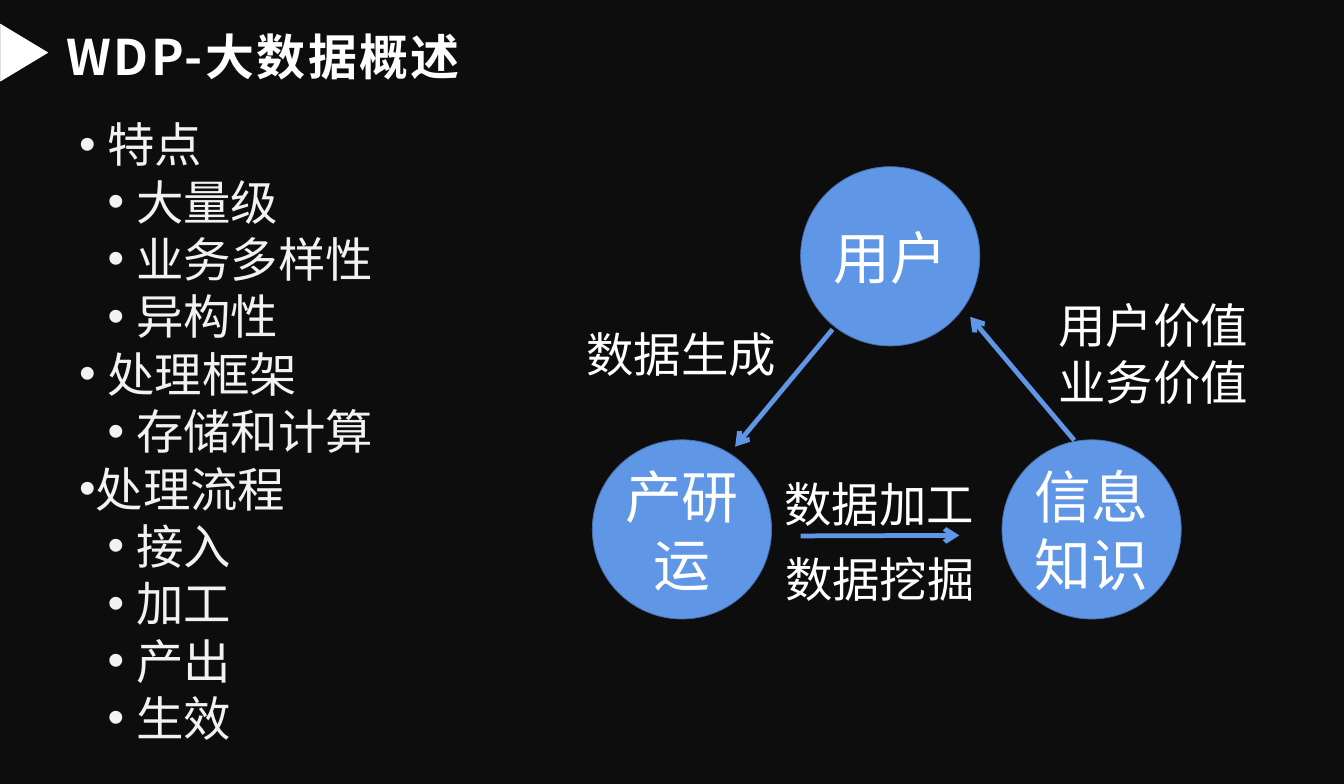
from pptx import Presentation
from pptx.dml.color import RGBColor
from pptx.enum.shapes import MSO_CONNECTOR, MSO_SHAPE
from pptx.enum.text import MSO_ANCHOR, MSO_AUTO_SIZE, PP_ALIGN
from pptx.oxml.ns import qn
from pptx.util import Inches, Pt
from lxml import etree

STRAIGHT = MSO_CONNECTOR.STRAIGHT
OVAL, TRIANGLE = MSO_SHAPE.OVAL, MSO_SHAPE.ISOSCELES_TRIANGLE
TOP, MIDDLE = MSO_ANCHOR.TOP, MSO_ANCHOR.MIDDLE
LEFT, CENTER = PP_ALIGN.LEFT, PP_ALIGN.CENTER
NO_FIT = MSO_AUTO_SIZE.NONE

BLACK, WHITE, PALE = "0D0D0D", "FFFFFF", "F2F2F2"
BLUE, EDGE = "6096E6", "476FAA"
BODY_FONT, TITLE_FONT = "Arial", "Noto Sans CJK SC"
LINE_FACTOR = 1.21
HANG = 0.5
DIAMETER = 3.15
LABEL_WIDTH = 3.53

TITLE = "WDP-大数据概述"
OUTLINE = [
    (0, HANG, "特点"),
    (1, HANG, "大量级"),
    (1, HANG, "业务多样性"),
    (1, HANG, "异构性"),
    (0, HANG, "处理框架"),
    (1, HANG, "存储和计算"),
    (0, 0, "处理流程"),
    (1, HANG, "接入"),
    (1, HANG, "加工"),
    (1, HANG, "产出"),
    (1, HANG, "生效"),
]
CIRCLES = [
    (14.07, 2.93, "用户"),
    (10.41, 7.73, "产研运"),
    (17.61, 7.73, "信息\n知识"),
]
ARROWS = [
    (14.63, 5.79, 12.92, 7.85),
    (14.07, 9.42, 16.86, 9.41),
    (18.88, 7.74, 17.05, 5.57),
]
LABELS = [
    (10.21, 5.65, 1.11, "数据生成"),
    (13.69, 8.3, 1.11, "数据加工"),
    (13.7, 9.61, 1.11, "数据挖掘"),
    (18.5, 5.14, 2.12, "用户价值\n业务价值"),
]


def rgb(value):
    return RGBColor.from_string(value)


def place(sp, left, top, width, height):
    sp.left, sp.top = Inches(left), Inches(top)
    sp.width, sp.height = Inches(width), Inches(height)


def format_run(r, size, color, font):
    r.font.size, r.font.name = Pt(size), font
    r.font.color.rgb = rgb(color)
    ea = etree.SubElement(r.font._element, qn("a:ea"))
    ea.set("typeface", font)


def write(tf, text, size, color, align=LEFT, anchor=TOP, wrap=True):
    tf.text = text
    tf.auto_size, tf.word_wrap, tf.vertical_anchor = NO_FIT, wrap, anchor
    for p in tf.paragraphs:
        p.alignment = align
        p.space_before = Pt(0)
        p.line_spacing = Pt(round(size * LINE_FACTOR, 1))
        for r in p.runs:
            format_run(r, size, color, BODY_FONT)


def set_bullet(p, margin, hang):
    pPr = p._p.get_or_add_pPr()
    pPr.set("marL", str(Inches(margin)))
    pPr.set("indent", str(-Inches(hang)))
    etree.SubElement(pPr, qn("a:buFont")).set("typeface", BODY_FONT)
    etree.SubElement(pPr, qn("a:buChar")).set("char", "•")


def add_filled(slide, kind, box, fill, line):
    sp = slide.shapes.add_shape(kind, *map(Inches, box))
    sp.shadow.inherit = False
    sp.fill.solid()
    sp.fill.fore_color.rgb = rgb(fill)
    sp.line.color.rgb = rgb(line)
    sp.line.width = Pt(1)
    return sp


def add_arrow(slide, ends):
    arrow = slide.shapes.add_connector(STRAIGHT, *map(Inches, ends))
    arrow.line.color.rgb = rgb(BLUE)
    arrow.line.width = Pt(6)
    etree.SubElement(arrow.line._get_or_add_ln(), qn("a:tailEnd")).set("type", "arrow")
    etree.SubElement(arrow._element.spPr, qn("a:effectLst"))


def add_title(slide):
    title = slide.shapes.title
    place(title, 1.07, 0.41, 15.64, 1.14)
    tf = title.text_frame
    tf.text = TITLE
    tf.auto_size, tf.vertical_anchor = NO_FIT, MIDDLE
    p = tf.paragraphs[0]
    p.alignment = LEFT
    r = p.runs[0]
    format_run(r, 62, WHITE, TITLE_FONT)
    r.font.bold = True
    r.font._element.set("spc", "300")


def add_outline(slide):
    body = slide.placeholders[1]
    place(body, 1.29, 1.97, 11.81, 11.4)
    tf = body.text_frame
    write(tf, "\n".join(text for _, _, text in OUTLINE), 60, PALE)
    for p, (level, hang, _) in zip(tf.paragraphs, OUTLINE):
        p.level = level
        set_bullet(p, level * HANG + hang, hang)


def main():
    prs = Presentation()
    prs.slide_width, prs.slide_height = Inches(23.62), Inches(13.78)
    slide = prs.slides.add_slide(prs.slide_layouts[1])
    slide.background.fill.solid()
    slide.background.fill.fore_color.rgb = rgb(BLACK)

    marker = add_filled(slide, TRIANGLE, (-0.08, 0.51, 1, 0.83), WHITE, WHITE)
    marker.rotation = 90
    add_title(slide)
    add_outline(slide)

    for left, top, text in CIRCLES:
        sp = add_filled(slide, OVAL, (left, top, DIAMETER, DIAMETER), BLUE, EDGE)
        write(sp.text_frame, text, 72, WHITE, CENTER, MIDDLE)
    for ends in ARROWS:
        add_arrow(slide, ends)
    for left, top, height, text in LABELS:
        sp = slide.shapes.add_textbox(*map(Inches, (left, top, LABEL_WIDTH, height)))
        write(sp.text_frame, text, 60, WHITE, wrap=False)

    prs.save("out.pptx")


if __name__ == "__main__":
    main()
